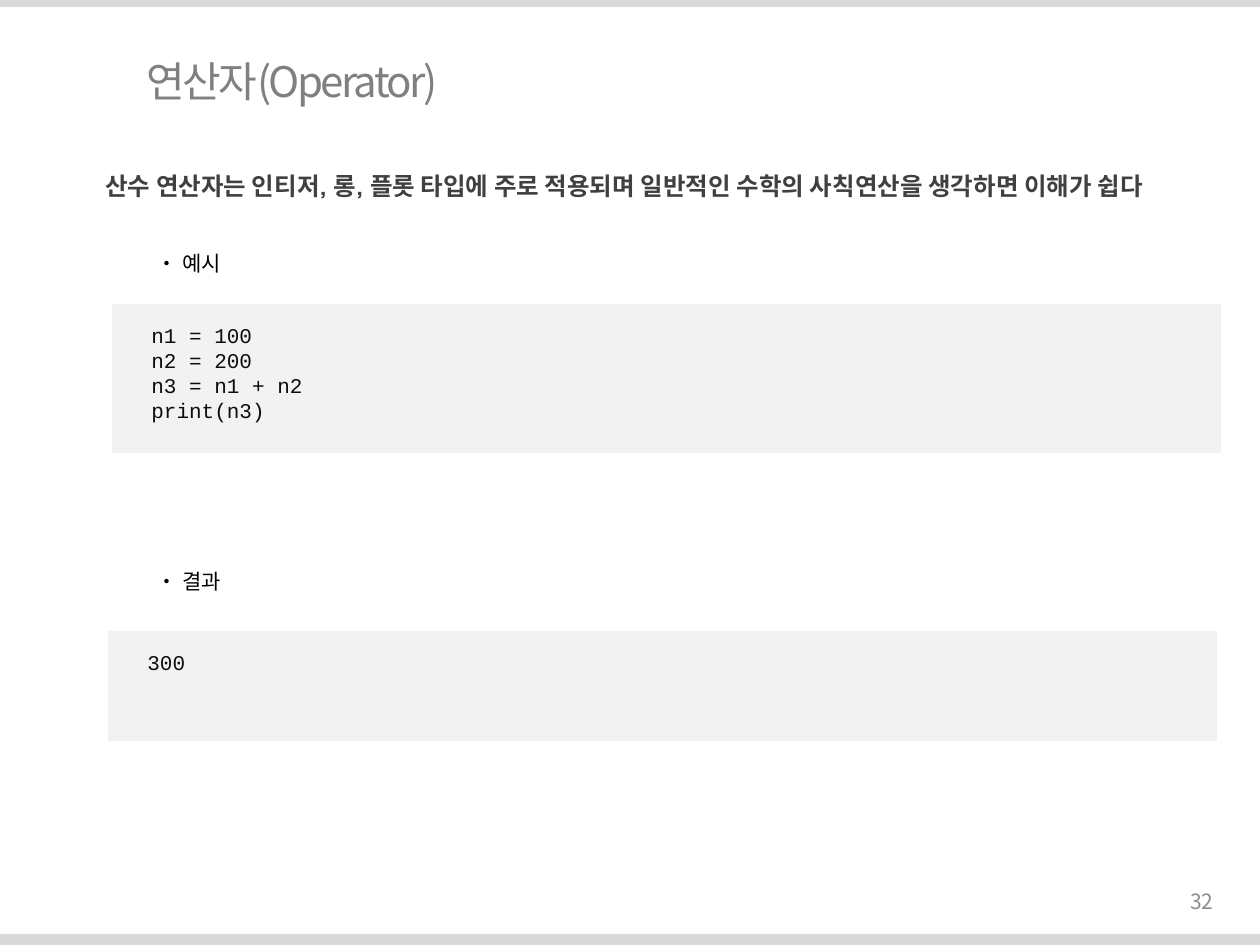
from pptx import Presentation
from pptx.dml.color import RGBColor
from pptx.enum import shapes, text
from pptx.oxml.ns import qn
from pptx.util import Pt

SCALE = 914400 // 126  # EMU in one px
SANS = "Noto Sans CJK KR"
BODY = "TeX Gyre Adventor"
MONO = "Courier New"
CODE = ["n1 = 100", "n2 = 200", "n3 = n1 + n2", "print(n3)"]


def px(*vals):
    return [v * SCALE for v in vals]


def color(code):
    return RGBColor.from_string(code)


def style(run, face, size, code, bold=False):
    """Format a run, with a Korean face beside the Latin one."""
    for key, val in {"name": face, "size": Pt(size), "bold": bold}.items():
        setattr(run.font, key, val)
    run.font.color.rgb = color(code)
    props = run.font._element
    east = props.makeelement(qn("a:ea"), {"typeface": SANS})
    props.find(qn("a:latin")).addnext(east)


def add_bar(slide, box, code):
    bar = slide.shapes.add_shape(shapes.MSO_SHAPE.RECTANGLE, *px(*box))
    bar.shadow.inherit = False
    bar.fill.solid()
    bar.fill.fore_color.rgb = color(code)
    bar.line.fill.background()


def add_text(slide, box, lines, face, size, code, bold=False, wrap=True,
             align=text.PP_ALIGN.LEFT, anchor=text.MSO_ANCHOR.TOP):
    frame = slide.shapes.add_textbox(*px(*box)).text_frame
    frame.word_wrap = wrap
    frame.vertical_anchor = anchor
    frame.text = "\n".join(lines)
    for para in frame.paragraphs:
        para.alignment = align
        style(para.runs[0], face, size, code, bold)


def set_title(slide, box, words):
    title = slide.shapes.title
    for key, val in zip(("left", "top", "width", "height"), px(*box)):
        setattr(title, key, val)
    frame = title.text_frame
    frame.text = words
    frame.vertical_anchor = text.MSO_ANCHOR.MIDDLE
    para = frame.paragraphs[0]
    para.alignment = text.PP_ALIGN.LEFT
    style(para.runs[0], SANS, 24, "808080")
    para.runs[0].font._element.set("spc", "-150")


def add_block(slide, label, top, panel, lines, width):
    """Add a bulleted label and a grey panel of code below it."""
    left, head, wide, high = panel
    add_bar(slide, panel, "F2F2F2")
    box = (left + 27, head + 12, width, 17 + 25 * len(lines))
    add_text(slide, box, lines, MONO, 12, "0D0D0D", wrap=False)
    add_text(slide, (144, top, 1022, 38), ["• " + label], BODY, 12, "000000")


def main():
    deck = Presentation()
    deck.slide_width, deck.slide_height = px(1260, 945)
    slide = deck.slides.add_slide(deck.slide_layouts[5])
    for top, high in ((0, 7), (934, 11)):
        add_bar(slide, (0, top, 1260, high), "D9D9D9")
    set_title(slide, (134, 42, 1063, 77), "연산자(Operator)")
    add_text(slide, (1116, 876, 110, 50), ["32"], SANS, 12, "8C8C8C",
             align=text.PP_ALIGN.RIGHT, anchor=text.MSO_ANCHOR.MIDDLE)
    add_text(slide, (93, 165, 1125, 72),
             ["산수 연산자는 인티저, 롱, 플롯 타입에 주로 적용되며 "
              "일반적인 수학의 사칙연산을 생각하면 이해가 쉽다"],
             BODY, 14, "404040", bold=True)
    add_block(slide, "예시", 244, (112, 304, 1109, 149), CODE, 179)
    add_block(slide, "결과", 562, (108, 631, 1109, 110), ["300"], 64)
    deck.save("out.pptx")


if __name__ == "__main__":
    main()
